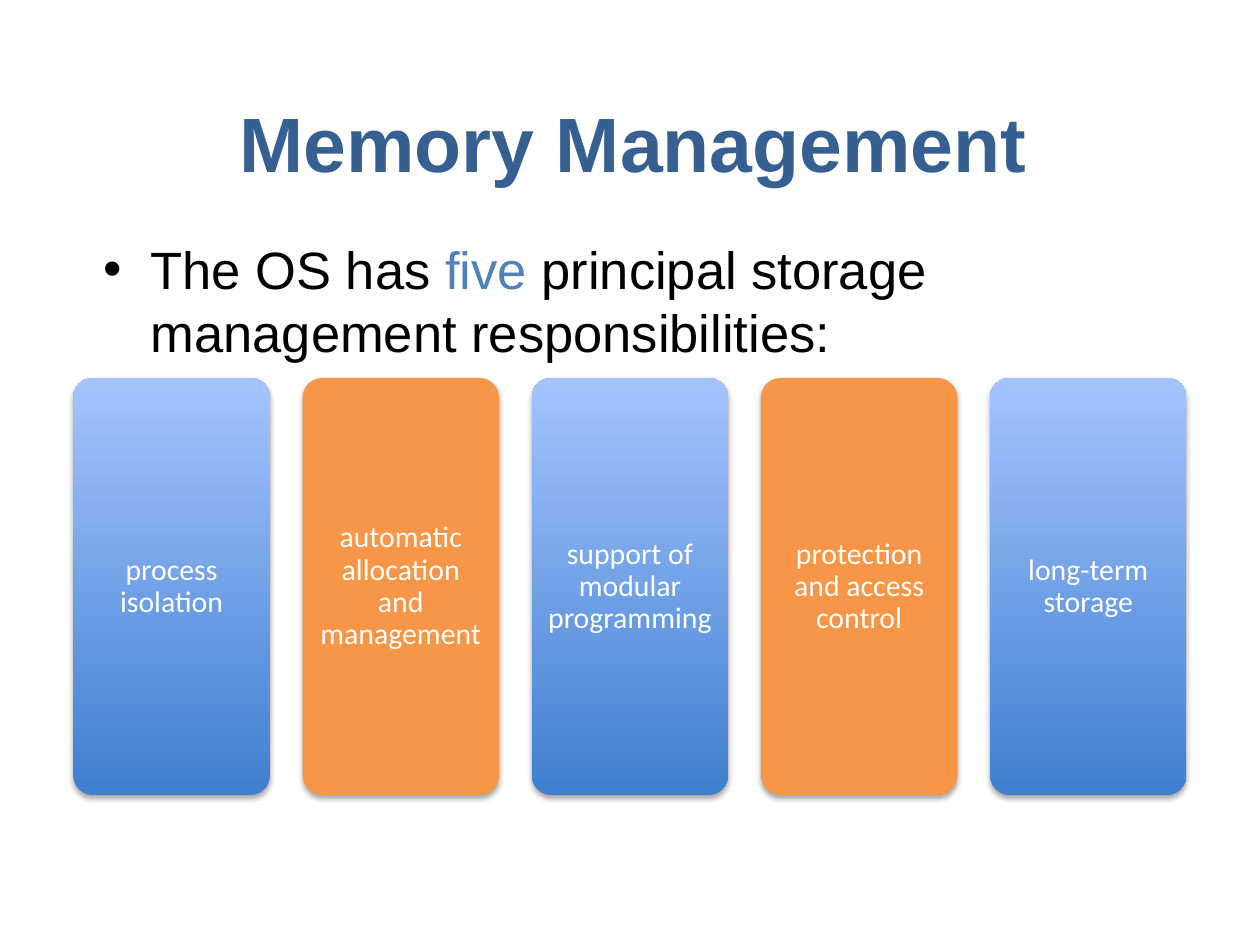
from lxml import etree
from pptx import Presentation
from pptx.dml.color import RGBColor
from pptx.enum.shapes import MSO_SHAPE
from pptx.enum.text import MSO_ANCHOR, MSO_AUTO_SIZE, PP_ALIGN
from pptx.oxml import parse_xml
from pptx.oxml.ns import nsdecls, qn
from pptx.util import Cm, Pt

ROUNDED = MSO_SHAPE.ROUNDED_RECTANGLE
MIDDLE, TOP = MSO_ANCHOR.MIDDLE, MSO_ANCHOR.TOP
CENTER, LEFT = PP_ALIGN.CENTER, PP_ALIGN.LEFT
NO_FIT = MSO_AUTO_SIZE.NONE

THEME = {
    "title": {"name": "Arial", "size": Pt(44), "bold": True, "color": "376092"},
    "body": {"name": "Arial", "size": Pt(30), "color": "000000"},
    "accent": {"name": "Arial", "size": Pt(30), "color": "4F81BD"},
    "card": {"name": "Calibri", "size": Pt(17), "color": "FFFFFF"},
    "gradient": ("3F7FCE", "A4C4FF"),
    "solid": "F79646",
    "shadow": "000000",
}


def set_values(target, values):
    for name, value in values.items():
        setattr(target, name, value)


def add_span(para, text, style):
    span = para.add_run()
    span.text = text
    for name, value in THEME[style].items():
        if name == "color":
            span.font.color.rgb = RGBColor.from_string(value)
        else:
            setattr(span.font, name, value)


deck = Presentation()
set_values(deck, {"slide_width": Cm(25.4), "slide_height": Cm(19.05)})
page = deck.slides.add_slide(deck.slide_layouts[1])

title = page.shapes.title
set_values(title, {"left": Cm(1.9), "top": Cm(1.27), "width": Cm(21.74), "height": Cm(3.18)})
set_values(title.text_frame, {"vertical_anchor": MIDDLE, "auto_size": NO_FIT})
para = title.text_frame.paragraphs[0]
para.alignment = CENTER
add_span(para, "Memory Management", "title")

body = page.placeholders[1]
set_values(body, {"left": Cm(1.83), "top": Cm(4.45), "width": Cm(21.87), "height": Cm(11)})
set_values(body.text_frame, {"vertical_anchor": TOP, "auto_size": NO_FIT, "margin_top": Cm(0.33)})
para = body.text_frame.paragraphs[0]
set_values(para, {"alignment": LEFT, "space_before": Pt(0)})
for text, style in (
    ("The OS has ", "body"),
    ("five", "accent"),
    (" principal storage management responsibilities:", "body"),
):
    add_span(para, text, style)

RESPONSIBILITIES = (
    "process isolation",
    "automatic allocation and management",
    "support of modular programming",
    "protection and access control",
    "long-term storage",
)
CARD_LEFT, CARD_TOP, CARD_PITCH = 1.48, 7.62, 4.62
CARD_WIDTH, CARD_HEIGHT = 3.96, 8.41
CARD_FRAME = {
    "word_wrap": True,
    "vertical_anchor": MIDDLE,
    **{f"margin_{side}": Cm(0.17) for side in ("left", "top", "right", "bottom")},
}
SHADOW = (
    f'<a:outerShdw {nsdecls("a")} blurRad="{Pt(3.1)}" dist="{Pt(1.8)}" dir="5400000" '
    f'rotWithShape="0"><a:srgbClr val="{THEME["shadow"]}"><a:alpha val="35000"/>'
    "</a:srgbClr></a:outerShdw>"
)

for index, text in enumerate(RESPONSIBILITIES):
    card = page.shapes.add_shape(
        ROUNDED, Cm(CARD_LEFT + index * CARD_PITCH), Cm(CARD_TOP), Cm(CARD_WIDTH), Cm(CARD_HEIGHT)
    )
    card.adjustments[0] = 0.1
    card.line.fill.background()
    if index % 2:
        card.fill.solid()
        card.fill.fore_color.rgb = RGBColor.from_string(THEME["solid"])
    else:
        card.fill.gradient()
        card.fill.gradient_angle = 90
        for stop, position, color in zip(card.fill.gradient_stops, (0, 1), THEME["gradient"]):
            set_values(stop, {"position": position})
            stop.color.rgb = RGBColor.from_string(color)
    card.shadow.inherit = False
    effects = card.element.spPr.find(qn("a:effectLst"))
    effects.append(parse_xml(SHADOW))
    set_values(card.text_frame, CARD_FRAME)
    para = card.text_frame.paragraphs[0]
    set_values(para, {"alignment": CENTER, "line_spacing": 0.9})
    add_span(para, text, "card")

etree.cleanup_namespaces(page.shapes.element)
deck.save("out.pptx")
